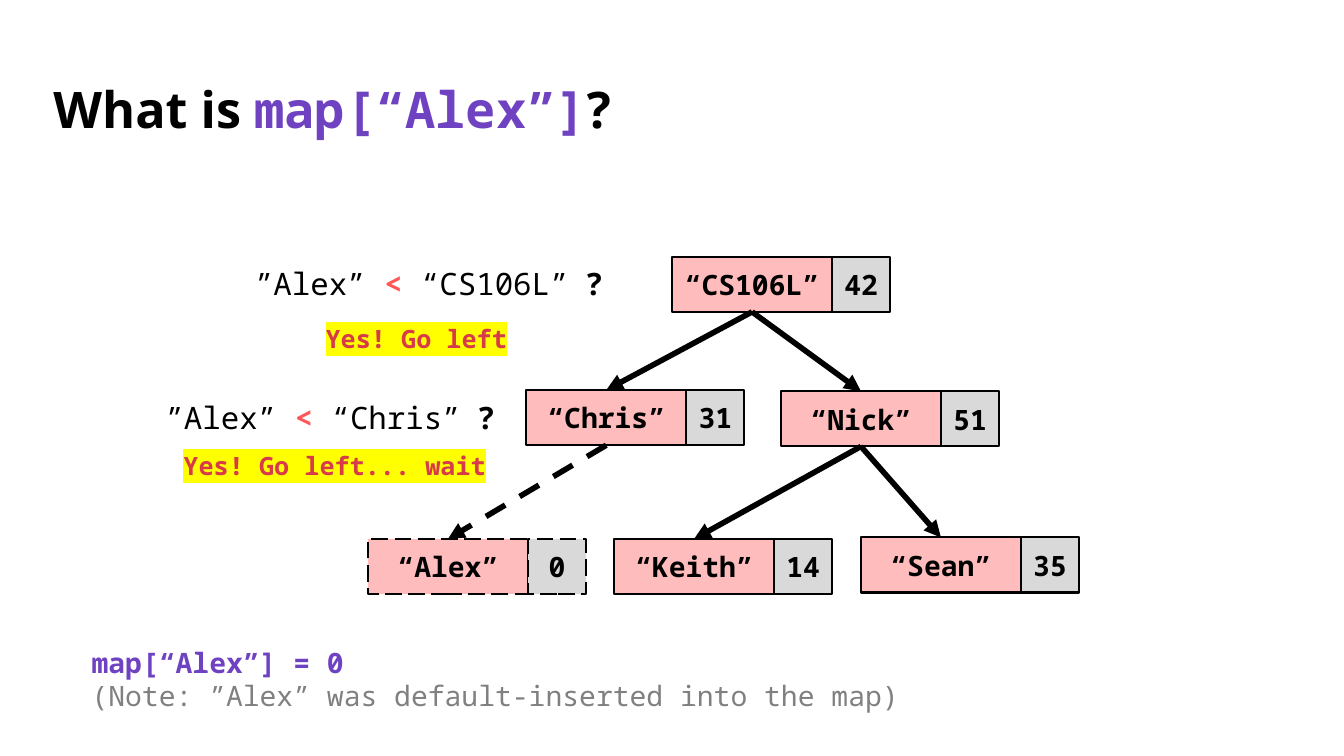
from typing import NamedTuple

import pptx
import pptx.dml.color
import pptx.enum.dml
import pptx.enum.shapes
import pptx.enum.text
import pptx.oxml
import pptx.oxml.ns
import pptx.util

Pt = pptx.util.Pt
RGBColor = pptx.dml.color.RGBColor
Align = pptx.enum.text.PP_ALIGN
Dash = pptx.enum.dml.MSO_LINE

BLACK = RGBColor(0x00, 0x00, 0x00)
PURPLE = RGBColor(0x6F, 0x42, 0xC1)
PINK = RGBColor(0xFF, 0xBC, 0xBC)
LIGHT_GRAY = RGBColor(0xD9, 0xD9, 0xD9)
NOTE_GRAY = RGBColor(0x80, 0x80, 0x80)
CORAL = RGBColor(0xFF, 0x57, 0x57)
RED = RGBColor(0xD7, 0x3A, 0x48)
YELLOW = RGBColor(0xFF, 0xFF, 0x00)

MONO = "Noto Sans Mono"
SANS = "Open Sans"

KEY_WIDTH, VALUE_WIDTH, NODE_HEIGHT = 114.4, 41.4, 39.4
BOTTOM_SITE, TOP_SITE = 2, 0


class Run(NamedTuple):
    text: str
    size: float
    color: RGBColor = BLACK
    bold: bool = False
    font: str = MONO
    highlight: RGBColor | None = None


class Node(NamedTuple):
    key: str
    value: int
    left: float
    top: float
    dash: Dash | None = None


class Edge(NamedTuple):
    parent: str
    child: str
    dash: Dash | None = None


class Caption(NamedTuple):
    left: float
    top: float
    width: float
    height: float
    lines: list[list[Run]]
    align: Align = Align.CENTER


def question(name: str) -> list[Run]:
    return [
        Run("”Alex” ", 22),
        Run("<", 22, CORAL, True),
        Run(f" “{name}” ", 22),
        Run("? ", 22, bold=True, font=SANS),
    ]


def answer(text: str) -> list[Run]:
    return [Run(text, 18, RED, True, highlight=YELLOW)]


TITLE = [
    Run("What is ", 36, bold=True, font=SANS),
    Run("map[“Alex”]", 36, PURPLE, True),
    Run("?", 36, bold=True, font=SANS),
]

NODES = [
    Node("CS106L", 42, 480, 183.4),
    Node("Chris", 31, 375.9, 278.6),
    Node("Nick", 51, 557.8, 279.5),
    Node("Keith", 14, 438.6, 385),
    Node("Sean", 35, 614.9, 383.9),
    Node("Alex", 0, 262.8, 385, Dash.LONG_DASH),
]

EDGES = [
    Edge("CS106L", "Chris"),
    Edge("CS106L", "Nick"),
    Edge("Nick", "Keith"),
    Edge("Nick", "Sean"),
    Edge("Chris", "Alex", Dash.DASH),
]

CAPTIONS = [
    Caption(166.3, 185.8, 285.1, 33.8, [question("CS106L")]),
    Caption(106.6, 281.5, 263.5, 33.8, [question("Chris")]),
    Caption(154.8, 227.5, 285.1, 28.8, [answer("Yes! Go left")]),
    Caption(96.5, 318.2, 285.1, 28.8, [answer("Yes! Go left... wait")]),
    Caption(58.3, 457.2, 779, 55.4, [
        [Run("map[“Alex”] = 0", 20, PURPLE, True)],
        [Run("(Note: ”Alex” was default-inserted into the map)", 20, NOTE_GRAY)],
    ], Align.LEFT),
]


def write_runs(paragraph, runs: list[Run], align: Align) -> None:
    paragraph.alignment = align
    for item in runs:
        run = paragraph.add_run()
        run.text = item.text
        run.font.size = Pt(item.size)
        run.font.bold = item.bold
        run.font.color.rgb = item.color
        if item.highlight is not None:
            run._r.get_or_add_rPr().append(pptx.oxml.parse_xml(
                f'<a:highlight {pptx.oxml.ns.nsdecls("a")}>'
                f'<a:srgbClr val="{item.highlight}"/></a:highlight>'))
        run.font.name = item.font


def draw_title(slide) -> None:
    title = slide.shapes.title
    title.left, title.top = Pt(31), Pt(49.7)
    title.width, title.height = Pt(897.8), Pt(60.5)
    frame = title.text_frame
    frame.auto_size = pptx.enum.text.MSO_AUTO_SIZE.NONE
    frame.vertical_anchor = pptx.enum.text.MSO_ANCHOR.MIDDLE
    write_runs(frame.paragraphs[0], TITLE, Align.LEFT)
    frame.paragraphs[0].line_spacing = 0.9


def draw_cell(group, node: Node, text: str, left: float, width: float, fill: RGBColor):
    cell = group.shapes.add_shape(pptx.enum.shapes.MSO_SHAPE.RECTANGLE,
                                  Pt(left), Pt(node.top), Pt(width), Pt(NODE_HEIGHT))
    cell.shadow.inherit = False
    cell.fill.solid()
    cell.fill.fore_color.rgb = fill
    cell.line.color.rgb = BLACK
    cell.line.width = Pt(1.5)
    if node.dash is not None:
        cell.line.dash_style = node.dash
    cell.text_frame.vertical_anchor = pptx.enum.text.MSO_ANCHOR.MIDDLE
    write_runs(cell.text_frame.paragraphs[0], [Run(text, 20, bold=True)], Align.CENTER)
    return cell


def draw_node(slide, node: Node):
    """Draw a key/value pair and return the key cell that edges attach to."""
    pair = slide.shapes.add_group_shape()
    key = draw_cell(pair, node, f"“{node.key}”", node.left, KEY_WIDTH, PINK)
    draw_cell(pair, node, str(node.value), node.left + KEY_WIDTH, VALUE_WIDTH, LIGHT_GRAY)
    return key


def draw_edge(slide, edge: Edge, keys: dict) -> None:
    arrow = slide.shapes.add_connector(pptx.enum.shapes.MSO_CONNECTOR.STRAIGHT,
                                       Pt(0), Pt(0), Pt(0), Pt(0))
    arrow.begin_connect(keys[edge.parent], BOTTOM_SITE)
    arrow.end_connect(keys[edge.child], TOP_SITE)
    arrow.line.color.rgb = BLACK
    arrow.line.width = Pt(4)
    if edge.dash is not None:
        arrow.line.dash_style = edge.dash
    namespace = pptx.oxml.ns.nsdecls("a")
    arrow.line._get_or_add_ln().append(
        pptx.oxml.parse_xml(f'<a:tailEnd {namespace} type="triangle"/>'))
    arrow._element.spPr.append(pptx.oxml.parse_xml(f"<a:effectLst {namespace}/>"))


def draw_caption(slide, caption: Caption) -> None:
    frame = slide.shapes.add_textbox(Pt(caption.left), Pt(caption.top),
                                     Pt(caption.width), Pt(caption.height)).text_frame
    frame.word_wrap = True
    frame.auto_size = pptx.enum.text.MSO_AUTO_SIZE.SHAPE_TO_FIT_TEXT
    for index, runs in enumerate(caption.lines):
        paragraph = frame.add_paragraph() if index else frame.paragraphs[0]
        write_runs(paragraph, runs, caption.align)


def main() -> None:
    deck = pptx.Presentation()
    deck.slide_width, deck.slide_height = Pt(960), Pt(540)
    slide = deck.slides.add_slide(deck.slide_layouts.get_by_name("Title Only"))

    draw_title(slide)

    # Map tree
    keys = {node.key: draw_node(slide, node) for node in NODES}
    for edge in EDGES:
        draw_edge(slide, edge, keys)

    # Lookup steps and result
    for caption in CAPTIONS:
        draw_caption(slide, caption)

    deck.save("out.pptx")


if __name__ == "__main__":
    main()
